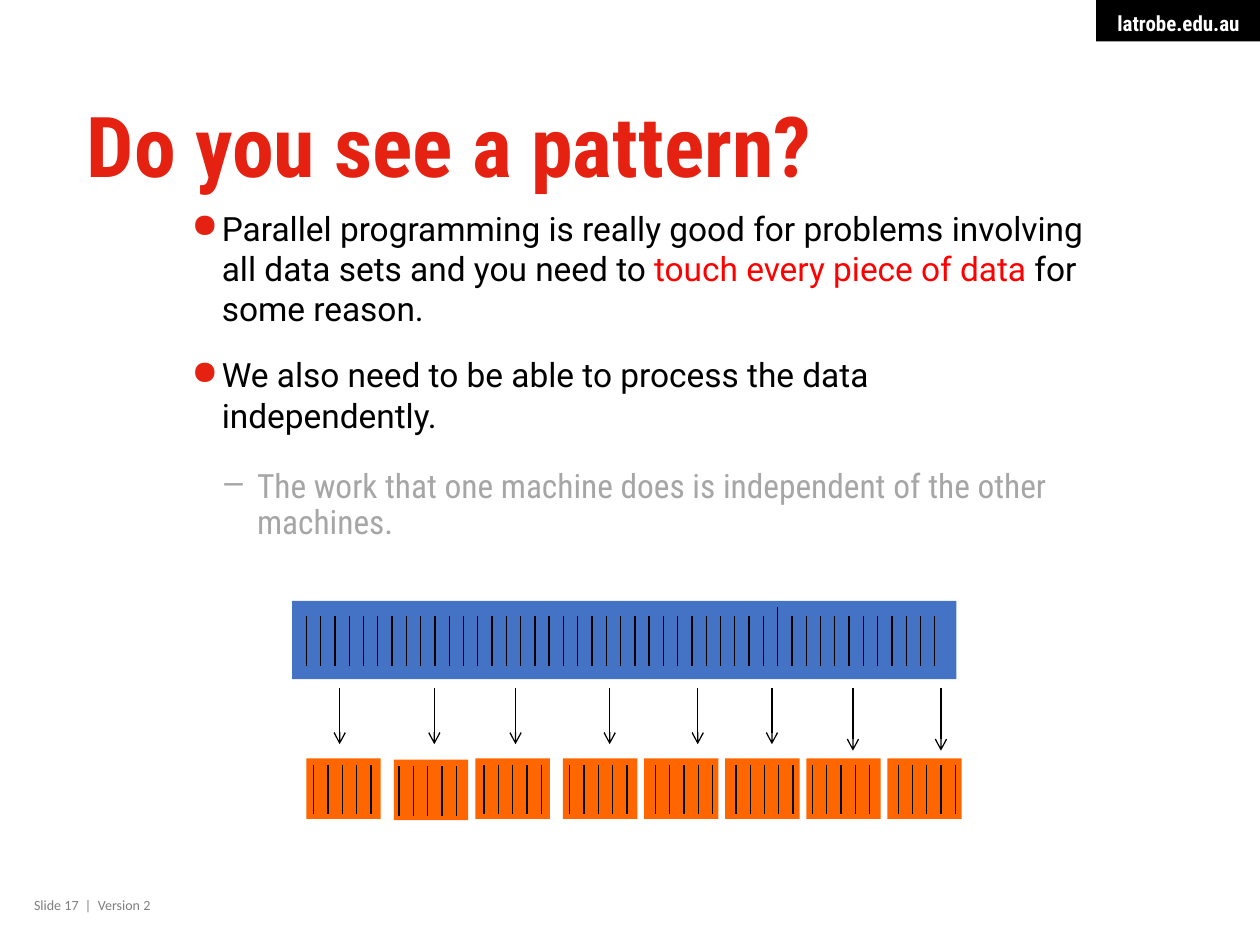
import pptx
import pptx.util
import pptx.dml.color
import pptx.enum.shapes
import pptx.enum.text
import pptx.oxml.ns
import lxml.etree

Pt = pptx.util.Pt
ALIGN = pptx.enum.text.PP_ALIGN
COLORS = {
    "black": "000000", "white": "FFFFFF", "title": "E52212", "red": "FF0000",
    "footer": "7F7F7F", "sub": "A6A6A6", "data": "4472C4", "chunk": "FF6600",
}

WEBSITE = "latrobe.edu.au"
FOOTER = "Slide 17  |  Version 2"
TITLE = "Do you see a pattern?"
MAIN_POINT = {"font": "Roboto", "bullet": "●", "bullet_color": "title",
              "left": 17.28, "hang": 17.28, "before": 0, "after": 15, "spacing": 1.0}
SUB_POINT = {"font": "Roboto Condensed", "bullet": "–", "bullet_color": "sub",
             "left": 37.44, "hang": 18.72, "before": 5, "after": 10, "spacing": 0.9}
POINTS = [
    (MAIN_POINT, [
        ("Parallel programming is really good for problems involving all data sets and you need to ", "black"),
        ("touch every piece of data ", "red"),
        ("for some reason.", "black"),
    ]),
    (MAIN_POINT, [("We also need to be able to process the data independently.", "black")]),
    (SUB_POINT, [("The work that one machine does is independent of the other machines.", "sub")]),
]

TICK_GAP = 8.16
DATA_BAR = (167, 343.4, 379.5, 44.8)
DATA_TICKS = 45
DATA_TICK_LEFT = 175.1
TALL_TICK = 33
CHUNK_SIZE = (42.5, 34.6)
CHUNK_TICKS = 5
ARROW_TOP = 393.2
CHUNK_FIELDS = ("left", "top", "first_tick", "arrow_x", "arrow_end")
CHUNKS = [
    (175.1, 433.4, 179.3, 194.1, 425.3),
    (225.1, 434.1, 228.1, 248.2, 425.3),
    (271.7, 433.4, 276.6, 294.6, 425.3),
    (321.7, 433.4, 325.6, 348.4, 425.3),
    (368.1, 433.4, 374.5, 398.7, 425.3),
    (414.4, 433.4, 420.5, 441.1, 425.3),
    (460.8, 433.4, 464.3, 487.4, 429),
    (507, 433.4, 513.3, 537.7, 429),
]


def rgb(name):
    return pptx.dml.color.RGBColor.from_string(COLORS[name])


def add_xml(parent, tag, **attributes):
    return lxml.etree.SubElement(parent, pptx.oxml.ns.qn(tag), attributes)


def add_box(slide, left, top, width, height, color):
    shape = slide.shapes.add_shape(
        pptx.enum.shapes.MSO_SHAPE.RECTANGLE, Pt(left), Pt(top), Pt(width), Pt(height))
    shape.shadow.inherit = False
    shape.fill.solid()
    shape.fill.fore_color.rgb = rgb(color)
    shape.line.fill.background()
    return shape


def add_vertical(slide, x, top, bottom, arrow=False):
    connector = slide.shapes.add_connector(
        pptx.enum.shapes.MSO_CONNECTOR.STRAIGHT, Pt(x), Pt(top), Pt(x), Pt(bottom))
    connector.line.color.rgb = rgb("black")
    connector.line.width = Pt(0.75)
    properties = connector._element.spPr
    if arrow:
        add_xml(properties.find(pptx.oxml.ns.qn("a:ln")), "a:tailEnd", type="arrow")
    add_xml(properties, "a:effectLst")


def set_insets(frame, left, top, right, bottom):
    frame.margin_left, frame.margin_top = Pt(left), Pt(top)
    frame.margin_right, frame.margin_bottom = Pt(right), Pt(bottom)
    frame.vertical_anchor = pptx.enum.text.MSO_ANCHOR.TOP


def add_text_frame(slide, left, top, width, height, insets=(0, 0, 0, 0)):
    frame = slide.shapes.add_textbox(Pt(left), Pt(top), Pt(width), Pt(height)).text_frame
    frame.word_wrap = True
    set_insets(frame, *insets)
    return frame


def format_run(run, font, size, color, bold=False):
    run.font.name = font
    run.font.size = Pt(size)
    run.font.bold = bold
    run.font.color.rgb = rgb(color)


def format_point(paragraph, style):
    paragraph.space_before = Pt(style["before"])
    paragraph.space_after = Pt(style["after"])
    paragraph.line_spacing = style["spacing"]
    properties = paragraph._p.get_or_add_pPr()
    properties.set("marL", str(int(Pt(style["left"]))))
    properties.set("indent", str(-int(Pt(style["hang"]))))
    bullet_color = add_xml(properties, "a:buClr")
    add_xml(bullet_color, "a:srgbClr", val=COLORS[style["bullet_color"]])
    add_xml(properties, "a:buChar", char=style["bullet"])


def add_texts(slide):
    tag = add_box(slide, 626.4, 0, 93.6, 23.76, "black").text_frame
    set_insets(tag, 11.5, 5.76, 11.5, 3.6)
    tag.word_wrap = False
    tag.text = WEBSITE
    tag.paragraphs[0].alignment = ALIGN.RIGHT
    format_run(tag.paragraphs[0].runs[0], "Roboto Condensed", 12, "white", True)

    footer = add_text_frame(slide, 19.44, 509, 193.7, 17.3, (0, 3.6, 7.2, 3.6))
    footer.text = FOOTER
    format_run(footer.paragraphs[0].runs[0], "Calibri", 8, "footer")

    title = add_text_frame(slide, 49.68, 56.16, 620.64, 104.4)
    title.text = TITLE
    title.paragraphs[0].line_spacing = Pt(55)
    format_run(title.paragraphs[0].runs[0], "Roboto Condensed", 48, "title", True)

    body = add_text_frame(slide, 109.44, 118.8, 510.5, 290.9)
    for index, (style, pieces) in enumerate(POINTS):
        paragraph = body.add_paragraph() if index else body.paragraphs[0]
        format_point(paragraph, style)
        for text, color in pieces:
            run = paragraph.add_run()
            run.text = text
            format_run(run, style["font"], 19.1, color)


def add_diagram(slide):
    for values in CHUNKS:
        chunk = dict(zip(CHUNK_FIELDS, values))
        add_box(slide, chunk["left"], chunk["top"], *CHUNK_SIZE, "chunk")
        for tick in range(CHUNK_TICKS):
            x = chunk["first_tick"] + tick * TICK_GAP
            add_vertical(slide, x, chunk["top"] + 3.7, chunk["top"] + 32)
        add_vertical(slide, chunk["arrow_x"], ARROW_TOP, chunk["arrow_end"], arrow=True)

    add_box(slide, *DATA_BAR, "data")
    for tick in range(DATA_TICKS):
        top = 347 if tick == TALL_TICK else 352
        add_vertical(slide, DATA_TICK_LEFT + tick * TICK_GAP, top, 380.3)


def main():
    presentation = pptx.Presentation()
    presentation.slide_width = Pt(720)
    presentation.slide_height = Pt(540)
    slide = presentation.slides.add_slide(presentation.slide_layouts[6])
    add_texts(slide)
    add_diagram(slide)
    presentation.save("out.pptx")


if __name__ == "__main__":
    main()
